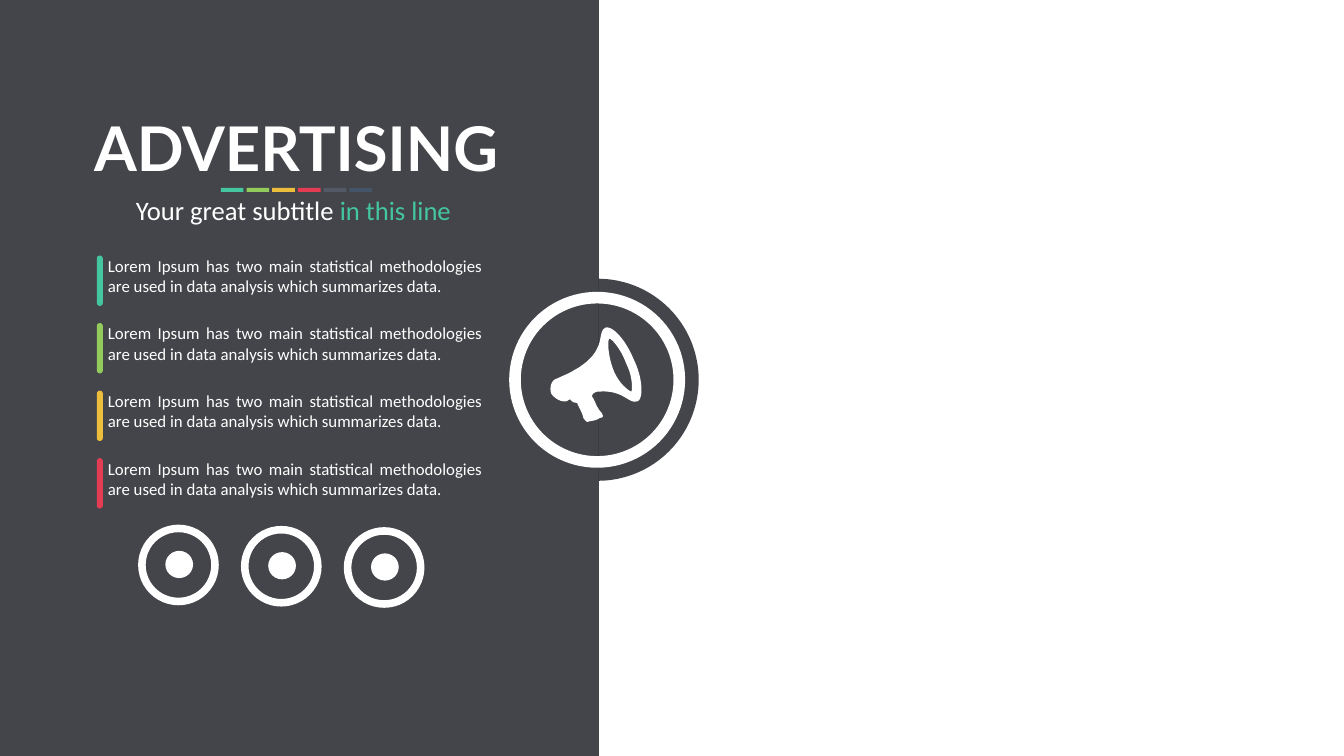
import pptx
import pptx.dml.color
import pptx.enum.shapes
import pptx.enum.text
import pptx.oxml
import pptx.oxml.ns
import pptx.util

Inches = pptx.util.Inches
SHAPE = pptx.enum.shapes.MSO_SHAPE
ALIGN = pptx.enum.text.PP_ALIGN
DARK, WHITE, GREEN = "292C32", "FFFFFF", "44C69E"
ACCENTS = [GREEN, "93CC5A", "EDBD3C", "E43D53"]
STRIP_COLORS = ACCENTS + ["525964", "445469"]
ITEM = ("Lorem Ipsum has two main statistical methodologies "
        "are used in data analysis which summarizes data.")
HORN = [
    [(1.67, .67), (1.52, .3, 1.26, 0, 1.11, .04), (.89, .15, 1.26, .6, .15, 1.05),
     (.03, 1.08, 0, 1.23, .03, 1.34), (.07, 1.42, .22, 1.53, .34, 1.5), (.41, 1.46),
     (.48, 1.57, .56, 1.5, .56, 1.57), (.6, 1.64, .67, 1.79, .67, 1.83),
     (.7, 1.87, .74, 1.94, .78, 1.9), (.82, 1.9, .97, 1.87, 1, 1.83),
     (1.07, 1.83, 1.07, 1.79, 1.04, 1.75), (1.04, 1.72, .97, 1.68, .97, 1.64),
     (.93, 1.61, .89, 1.46, .85, 1.42), (.82, 1.38, .89, 1.31, .97, 1.31),
     (1.49, 1.27, 1.56, 1.57, 1.75, 1.5), (1.86, 1.46, 1.86, 1.05, 1.67, .67)],
    [(1.63, 1.31), (1.59, 1.31, 1.37, 1.16, 1.26, .86), (1.15, .56, 1.15, .26, 1.19, .26),
     (1.23, .26, 1.41, .45, 1.52, .75), (1.67, 1.05, 1.63, 1.27, 1.63, 1.31)],
]


def paint(target, color, alpha=None):
    """Give a fill or font a hex colour, optionally with a percent opacity."""
    fill = target.fill
    fill.solid()
    fill.fore_color.rgb = pptx.dml.color.RGBColor.from_string(color)
    if alpha is not None:
        clr = target._element.spPr.find(".//" + pptx.oxml.ns.qn("a:srgbClr"))
        node = pptx.oxml.parse_xml("<a:alpha %s val='%d'/>" % (pptx.oxml.ns.nsdecls("a"), alpha * 1000))
        clr.append(node)


def finish(sp, color, alpha=None):
    """Fill a shape and remove its line and shadow."""
    paint(sp, color, alpha)
    sp.line.fill.background()
    sp.shadow.inherit = False


def add_shape(s, kind, box, color, alpha=None, adj=()):
    """Add a preset shape in a box given in inches."""
    sp = s.shapes.add_shape(kind, *map(Inches, box))
    for i, value in enumerate(adj):
        sp.adjustments[i] = value
    finish(sp, color, alpha)


def set_values(obj, values):
    """Set each named attribute on an object."""
    for name, value in values.items():
        setattr(obj, name, value)


def place(s, sp, box, inset=(.1, .05)):
    """Move a text shape to a box, in front of what is drawn so far."""
    s.shapes._spTree.append(sp._element)
    set_values(sp, dict(zip(("left", "top", "width", "height"), map(Inches, box))))
    x, y = map(Inches, inset)
    tf = sp.text_frame
    set_values(tf, {"word_wrap": True, "auto_size": pptx.enum.text.MSO_AUTO_SIZE.NONE,
                    "vertical_anchor": pptx.enum.text.MSO_ANCHOR.TOP,
                    "margin_left": x, "margin_right": x, "margin_top": y, "margin_bottom": y})
    return tf


def add_run(p, text, size, color, font="Calibri", bold=False):
    """Add a formatted run to a paragraph."""
    r = p.add_run()
    r.text = text
    set_values(r.font, {"name": font, "size": pptx.util.Pt(size), "bold": bold})
    paint(r.font, color)


def add_heading(s, x, y, w):
    """Build the title, colour strip and subtitle."""
    p = place(s, s.shapes.title, (x, y, w, 1.58)).paragraphs[0]
    p.alignment = ALIGN.CENTER
    add_run(p, "ADVERTISING", 88, WHITE, "Lato", True)
    for i, color in enumerate(STRIP_COLORS):
        add_shape(s, SHAPE.RECTANGLE, (x + 4.7 + .51 * i, y + 1.6, .45, .08), color)
    box = (x + 2.16, y + 1.66, 7.96, .74)
    p = place(s, s.shapes.add_textbox(0, 0, 0, 0), box).paragraphs[0]
    p.alignment = ALIGN.CENTER
    add_run(p, "Your great subtitle ", 38, WHITE)
    add_run(p, "in this line", 38, GREEN)


def add_points(s, x, y, w, h):
    """Build the list with a coloured bar beside each item."""
    tf = place(s, s.placeholders[1], (x, y, w, h), (.24, .12))
    for i, color in enumerate(ACCENTS):
        p = tf.add_paragraph() if i else tf.paragraphs[0]
        set_values(p, {"alignment": ALIGN.JUSTIFY, "line_spacing": 1.0,
                       "space_before": pptx.util.Pt(39 if i else 0)})
        pPr = p._p.get_or_add_pPr()
        pPr.set("marL", "0")
        pPr.set("indent", "0")
        pPr.append(pptx.oxml.parse_xml("<a:buNone %s/>" % pptx.oxml.ns.nsdecls("a")))
        add_run(p, ITEM, 24, WHITE)
        add_shape(s, SHAPE.ROUND_2_SAME_RECTANGLE, (x + .02, y + .12 + 1.34 * i, .12, 1),
                  color, adj=(.5, .5))


def add_social(s, x, y):
    """Build the row of ringed badges."""
    for i in range(3):
        left, top = x + 2.04 * i, y + .025 * i
        add_shape(s, SHAPE.DONUT, (left, top, 1.6, 1.6), WHITE, adj=(.094,))
        add_shape(s, SHAPE.OVAL, (left + .54, top + .52, .55, .54), WHITE)


def trace(contour):
    """Turn line and cubic Bézier steps into a list of points."""
    points = [contour[0]]
    for step in contour[1:]:
        if len(step) == 2:
            points.append(step)
            continue
        knots = [points[-1], step[:2], step[2:4], step[4:]]
        for t in (n / 12 for n in range(1, 13)):
            weights = ((1 - t) ** 3, 3 * t * (1 - t) ** 2, 3 * t * t * (1 - t), t ** 3)
            points.append(tuple(sum(c * k[axis] for c, k in zip(weights, knots))
                                for axis in (0, 1)))
    return points


def add_megaphone(s, x, y):
    """Build the megaphone outline."""
    builder = None
    for contour in HORN:
        points = [(Inches(x + px), Inches(y + py)) for px, py in trace(contour)]
        if builder is None:
            builder = s.shapes.build_freeform(*points[0])
        else:
            builder.move_to(*points[0])
        builder.add_line_segments(points[1:], close=True)
    finish(builder.convert_to_shape(), WHITE)


def add_emblem(s, x, y, d):
    """Build the half disc, ring and megaphone on the panel edge."""
    add_shape(s, SHAPE.CHORD, (x, y, d, d), DARK, 88, (162.36, 53.64))
    add_shape(s, SHAPE.DONUT, (x + .25, y + .26, 3.49, 3.49), WHITE, adj=(.066,))
    add_megaphone(s, x + 1.05, y + .93)


def main():
    """Build and save the slide."""
    prs = pptx.Presentation()
    prs.slide_width, prs.slide_height = Inches(26.66), Inches(15)
    s = prs.slides.add_slide(prs.slide_layouts[1])
    add_shape(s, SHAPE.RECTANGLE, (0, 0, 11.88, 15), DARK, 88)
    add_emblem(s, 9.85, 5.53, 4.01)
    add_social(s, 2.74, 10.41)
    add_points(s, 1.9, 4.95, 7.9, 5.11)
    add_heading(s, -.32, 2.13, 12.39)
    prs.save("out.pptx")


if __name__ == "__main__":
    main()
